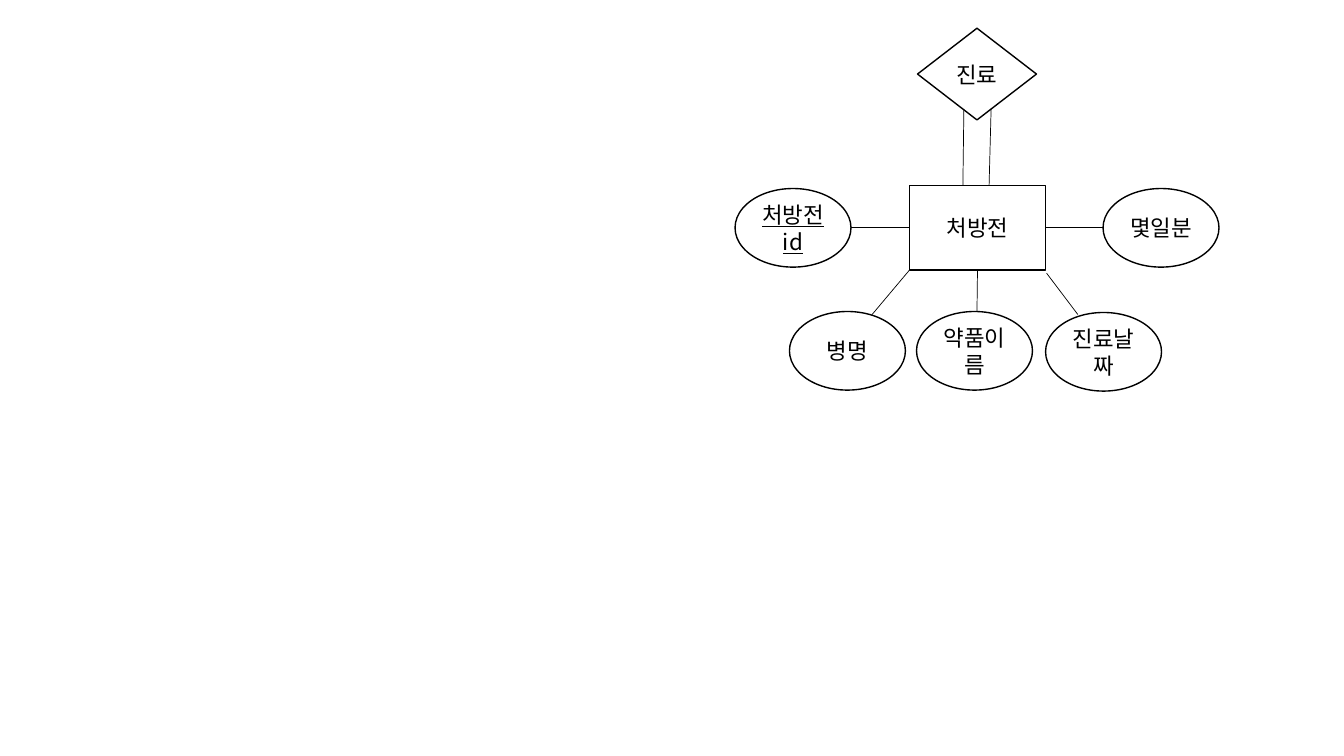
from pptx import Presentation
from pptx.dml.color import RGBColor
from pptx.enum.shapes import MSO_CONNECTOR as Link, MSO_SHAPE as Kind
from pptx.enum.text import MSO_ANCHOR as Anchor, PP_ALIGN as Align
from pptx.oxml.ns import qn
from pptx.util import Inches, Pt
from lxml import etree

FONT, INK, PAPER = "Noto Sans CJK KR", "000000", "FFFFFF"
OVAL = (1.15, 0.78)

# text, kind, left, top, size, fill, underline
NODES = [
    ("진료", Kind.DIAMOND, 9.1, 0.28, (1.18, 0.91), None, False),
    ("처방전", Kind.RECTANGLE, 9.02, 1.84, (1.35, 0.84), PAPER, False),
    ("처방전id", Kind.OVAL, 7.29, 1.87, OVAL, PAPER, True),
    ("진료날짜", Kind.OVAL, 10.37, 3.1, OVAL, PAPER, False),
    ("병명", Kind.OVAL, 7.83, 3.09, OVAL, PAPER, False),
    ("약품이름", Kind.OVAL, 9.09, 3.09, OVAL, PAPER, False),
    ("몇일분", Kind.OVAL, 10.94, 1.87, OVAL, PAPER, False),
]

# start, end, side of the entity box where the line starts
LINKS = [
    ((9.69, 2.68), (9.69, 3.09), 2),
    ((9.02, 2.68), (8.65, 3.12), None),
    ((10.38, 2.71), (10.69, 3.12), None),
    ((10.37, 2.26), (10.94, 2.26), 3),
    ((9.02, 2.26), (8.44, 2.26), 1),
    ((9.55, 1.84), (9.56, 1.08), None),
    ((9.81, 1.84), (9.83, 1.08), None),
]


def color(code):
    return RGBColor.from_string(code)


def assign(item, values):
    for name, value in values.items():
        setattr(item, name, value)


def stroke(item, width):
    item.line.color.rgb = color(INK)
    item.line.width = Pt(width)


def add_node(slide, text, kind, left, top, size, fill, under):
    node = slide.shapes.add_shape(kind, *map(Inches, (left, top, *size)))
    node.shadow.inherit = False
    stroke(node, 1)
    if fill:
        node.fill.solid()
        node.fill.fore_color.rgb = color(fill)
    else:
        node.fill.background()
    frame = node.text_frame
    assign(frame, {"word_wrap": True, "vertical_anchor": Anchor.MIDDLE,
                   "margin_left": Inches(0.09), "margin_right": Inches(0.09)})
    para = frame.paragraphs[0]
    para.alignment = Align.CENTER
    run = para.add_run()
    run.text = text
    assign(run.font, {"name": FONT, "size": Pt(16), "underline": under or None})
    run.font.color.rgb = color(INK)
    # Hangul takes its typeface from the East Asian font entry
    latin = run.font._element.find(qn("a:latin"))
    east = etree.Element(qn("a:ea"), typeface=FONT)
    latin.addnext(east)
    return node


def add_link(slide, start, end, box, side):
    link = slide.shapes.add_connector(Link.STRAIGHT, *map(Inches, start + end))
    if side is not None:
        link.begin_connect(box, side)
    stroke(link, 0.5)
    etree.SubElement(link._element.spPr, qn("a:effectLst"))


def main():
    deck = Presentation()
    assign(deck, {"slide_width": Inches(13.33), "slide_height": Inches(7.5)})
    slide = deck.slides.add_slide(deck.slide_layouts[6])
    nodes = [add_node(slide, *node) for node in NODES]
    box = nodes[1]
    for start, end, side in LINKS:
        add_link(slide, start, end, box, side)
    deck.save("out.pptx")


if __name__ == "__main__":
    main()
